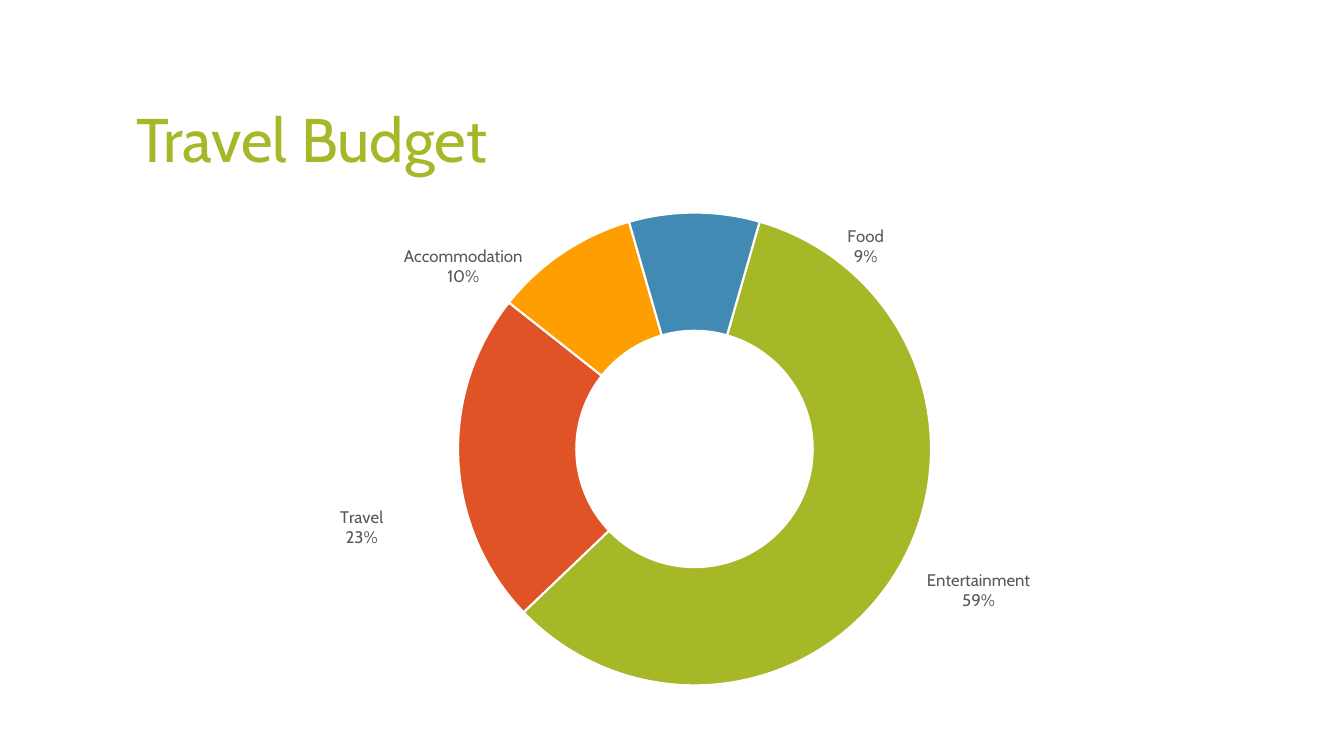
from copy import deepcopy
from lxml import etree
from pptx import Presentation
from pptx.chart.data import CategoryChartData
from pptx.dml.color import RGBColor
from pptx.enum import chart as kinds, text
from pptx.oxml import parse_xml
from pptx.oxml.ns import nsdecls, qn
from pptx.util import Inches, Pt

GREEN = RGBColor(0xA6, 0xB7, 0x27)
RED = RGBColor(0xDF, 0x53, 0x27)
AMBER = RGBColor(0xFE, 0x9E, 0x00)
BLUE = RGBColor(0x41, 0x8A, 0xB3)
WHITE = RGBColor(0xFF, 0xFF, 0xFF)
GREY = RGBColor(0x59, 0x59, 0x59)
FONT = "Cabin"

COSTS = [
    ("Entertainment", 59, GREEN, 0.17, 0.1),
    ("Travel", 23, RED, -0.2, 0.14),
    ("Accommodation", 10, AMBER, -0.17, -0.07),
    ("Food", 9, BLUE, 0.22, -0.05),
]


def layout(**sizes):
    tags = "".join(f'<c:{tag} val="{val}"/>' for tag, val in sizes.items())
    return parse_xml(
        f'<c:layout {nsdecls("c")}><c:manualLayout>{tags}</c:manualLayout></c:layout>'
    )


deck = Presentation()
deck.slide_width, deck.slide_height = Inches(13.33), Inches(7.5)
slide = deck.slides.add_slide(deck.slide_layouts[5])

title = slide.shapes.title
title.left, title.top = Inches(1.25), Inches(0.67)
title.width, title.height = Inches(10.8), Inches(1.48)
frame = title.text_frame
frame.text = "Travel Budget"
frame.vertical_anchor = text.MSO_ANCHOR.MIDDLE
head = frame.paragraphs[0]
head.alignment = text.PP_ALIGN.LEFT
head.line_spacing = 0.9
head.font.name, head.font.size = FONT, Pt(44)
head.font.color.rgb = GREEN

data = CategoryChartData()
data.categories = [cost[0] for cost in COSTS]
data.add_series("Series 1", [cost[1] for cost in COSTS])
chart = slide.shapes.add_chart(
    kinds.XL_CHART_TYPE.DOUGHNUT,
    Inches(2.99), Inches(1.96), Inches(7.72), Inches(4.99), data,
).chart
chart.has_title = False
chart.has_legend = False
chart.font.name, chart.font.size = FONT, Pt(10)

plot = chart.plots[0]
plot.vary_by_categories = True
ring = plot._element
ring.find(qn("c:firstSliceAng")).set("val", "16")
ring.find(qn("c:holeSize")).set("val", "88")
area = ring.getparent()
for old in area.findall(qn("c:layout")):
    area.remove(old)
area.insert(0, layout(
    layoutTarget="inner", xMode="edge", yMode="edge",
    x=0.2, y=0.03, w=0.61, h=0.94,
))

series = plot.series[0]
labels = series.data_labels
labels.font.name, labels.font.size = FONT, Pt(12)
labels.font.color.rgb = GREY
labels.number_format = '0"%"'
labels.number_format_is_linked = False
labels.show_category_name = True
labels.show_value = True
labels.show_percentage = False
group = labels._element
for lead in group.findall(qn("c:showLeaderLines")):
    group.remove(lead)
etree.SubElement(group, qn("c:separator")).text = "\n"
shared = list(group)
etree.SubElement(group, qn("c:showLeaderLines")).set("val", "0")

for spot, (name, cost, color, across, down) in enumerate(COSTS):
    slice = series.points[spot].format
    slice.fill.solid()
    slice.fill.fore_color.rgb = color
    slice.line.color.rgb = WHITE
    slice.line.width = Pt(1.5)
    label = etree.Element(qn("c:dLbl"))
    etree.SubElement(label, qn("c:idx")).set("val", str(spot))
    label.append(layout(x=across, y=down))
    label.extend(deepcopy(part) for part in shared)
    group.insert(spot, label)

deck.save("out.pptx")
